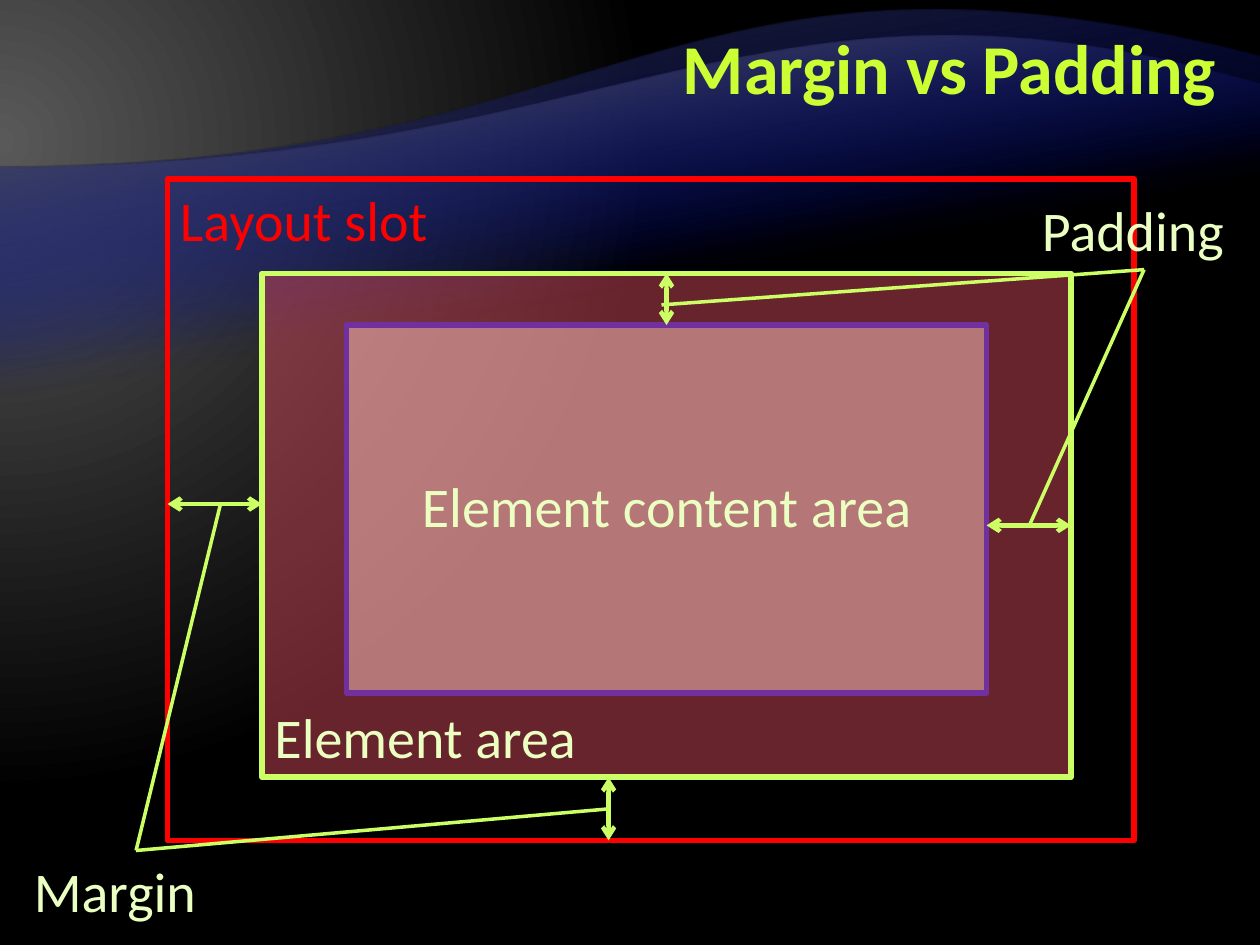
import pptx
import pptx.dml.color
import pptx.enum.shapes
import pptx.enum.text
import pptx.oxml
import pptx.oxml.ns
import pptx.util
import lxml.etree

Inches, Pt = pptx.util.Inches, pptx.util.Pt
qn = pptx.oxml.ns.qn
RGB = pptx.dml.color.RGBColor.from_string

THEME = {
    "font": "Calibri", "title_size": 40, "label_size": 32,
    "title": "CCFF33", "label": "EBFFC2", "slot": "FF0000",
    "accent": "CCFF66", "element": "CC4757", "content": "FFC5C0",
    "content_line": "7030A0", "box_width": 3.25, "arrow_width": 2.5,
    "leader_width": 2,
}

# Gradient stops: position %, colour, opacity %
BACKDROP = [(0, "595959", 100), (83, "000000", 100)]
BACKDROP_FOCUS = '<a:path path="circle"><a:fillToRect l="20000" t="30000" r="135000" b="100000"/></a:path>'
WAVE_DIRECTION = '<a:lin ang="15600000" scaled="0"/>'
# Waves: bottom, curve (start, two controls, end), colour at the crest
WAVES = [
    (6.53, [(0, 1.33), (5, 1.33), (5.34, -0.75), (10, 0.45)], "262626"),
    (5.57, [(0, 1.33), (5, 1.33), (5.98, -0.49), (10, 0.67)], "595959"),
]

# Nested boxes: left, top, width, height, fill, line
SLOT = (1.33, 1.42, 7.67, 5.25)
ELEMENT = (2.08, 2.17, 6.42, 4)
CONTENT = (2.75, 2.58, 5.08, 2.92)
BOXES = [(SLOT, None, "slot"), (ELEMENT, "element", "accent"),
         (CONTENT, "content", "content_line")]

TITLE = ("Margin vs Padding", 2, 0.08, 7.75, 1)
# Labels: text, left, top, width, colour
LABEL_HEIGHT = 0.64
LABELS = [
    ("Layout slot", 1.33, 1.42, 2.58, "slot"),
    ("Element area", 2.08, 5.53, 2.92, "label"),
    ("Margin", 0.17, 6.75, 1.83, "label"),
    ("Padding", 8.17, 1.5, 1.83, "label"),
    ("Element content area", 3.25, 3.69, 4.25, "label"),
]

# Double arrows span the gaps between neighbouring boxes
ARROWS = [
    ((SLOT[0], 4), (ELEMENT[0], 4)),
    ((CONTENT[0] + CONTENT[2], 4.17), (ELEMENT[0] + ELEMENT[2], 4.17)),
    ((4.83, ELEMENT[1] + ELEMENT[3]), (4.83, SLOT[1] + SLOT[3])),
    ((5.29, ELEMENT[1]), (5.29, CONTENT[1])),
]
# Leaders: label end, then the gaps it names
LEADERS = [
    ((1.08, 6.75), [(1.75, 4), (4.83, 6.42)]),
    ((9.08, 2.14), [(5.25, 2.42), (8.17, 4.17)]),
]


def gradient(stops, direction):
    stop_xml = "".join(
        f'<a:gs pos="{place * 1000}"><a:srgbClr val="{color}">'
        f'<a:alpha val="{opacity * 1000}"/></a:srgbClr></a:gs>'
        for place, color, opacity in stops)
    return pptx.oxml.parse_xml(
        f'<a:gradFill {pptx.oxml.ns.nsdecls("a")} rotWithShape="1">'
        f'<a:gsLst>{stop_xml}</a:gsLst>{direction}</a:gradFill>')


def set_gradient(parent, stops, direction):
    solid = parent.find(qn("a:solidFill"))
    parent.replace(solid, gradient(stops, direction))


def add_wave(slide, bottom, curve, color):
    start, *controls, end = curve
    builder = slide.shapes.build_freeform(Inches(end[0]), Inches(bottom), scale=1.0)
    builder.add_line_segments(
        [(Inches(x), Inches(y)) for x, y in [(start[0], bottom), start, end]], close=True)
    wave = builder.convert_to_shape()
    wave.shadow.inherit = False
    wave.fill.solid()
    wave.line.fill.background()
    set_gradient(wave._element.spPr, [(65, "000D9E", 0), (100, color, 100)], WAVE_DIRECTION)
    # Turn the straight top edge into a Bezier curve
    edge = list(wave._element.iter(qn("a:lnTo")))[2]
    edge.tag = qn("a:cubicBezTo")
    for index, (x, y) in enumerate(controls):
        point = lxml.etree.Element(qn("a:pt"))
        point.set("x", str(Inches(x) - wave.left))
        point.set("y", str(Inches(y) - wave.top))
        edge.insert(index, point)


def add_box(slide, place, fill, line):
    box = slide.shapes.add_shape(
        pptx.enum.shapes.MSO_SHAPE.RECTANGLE, *map(Inches, place))
    box.shadow.inherit = False
    box.line.color.rgb = RGB(THEME[line])
    box.line.width = Pt(THEME["box_width"])
    if fill is None:
        box.fill.background()
        return
    box.fill.solid()
    box.fill.fore_color.rgb = RGB(THEME[fill])
    color = box._element.spPr.find(qn("a:solidFill"))[0]
    lxml.etree.SubElement(color, qn("a:alpha")).set("val", "51000")


def add_text(slide, text, place, size, color):
    box = slide.shapes.add_textbox(*map(Inches, place))
    frame = box.text_frame
    frame.word_wrap = True
    frame.text = text
    font = frame.paragraphs[0].runs[0].font
    font.name, font.size = THEME["font"], Pt(THEME[size])
    font.color.rgb = RGB(THEME[color])
    return frame


def add_line(slide, start, end, width, arrows=False):
    line = slide.shapes.add_connector(
        pptx.enum.shapes.MSO_CONNECTOR.STRAIGHT, *map(Inches, start + end))
    line.line.color.rgb = RGB(THEME["accent"])
    line.line.width = Pt(THEME[width])
    properties = line._element.spPr
    lxml.etree.SubElement(properties, qn("a:effectLst"))
    if arrows:
        for tag in ("a:headEnd", "a:tailEnd"):
            lxml.etree.SubElement(properties.find(qn("a:ln")), qn(tag)).set("type", "arrow")


def main():
    deck = pptx.Presentation()
    deck.slide_width, deck.slide_height = Inches(10), Inches(7.5)
    page = deck.slides.add_slide(deck.slide_layouts[6])

    # Backdrop
    page.background.fill.solid()
    set_gradient(next(page.element.iter(qn("p:bgPr"))), BACKDROP, BACKDROP_FOCUS)
    for wave in WAVES:
        add_wave(page, *wave)

    # Title
    text, *place = TITLE
    frame = add_text(page, text, place, "title_size", "title")
    frame.vertical_anchor = pptx.enum.text.MSO_ANCHOR.MIDDLE
    para = frame.paragraphs[0]
    para.alignment = pptx.enum.text.PP_ALIGN.RIGHT
    para.line_spacing = Pt(THEME["title_size"])
    para.runs[0].font.bold = True

    # Nested boxes and labels
    for box in BOXES:
        add_box(page, *box)
    for text, left, top, width, color in LABELS:
        frame = add_text(page, text, (left, top, width, LABEL_HEIGHT), "label_size", color)
        frame.auto_size = pptx.enum.text.MSO_AUTO_SIZE.SHAPE_TO_FIT_TEXT

    # Gap arrows and leaders
    for start, end in ARROWS:
        add_line(page, start, end, "arrow_width", arrows=True)
    for start, ends in LEADERS:
        for end in ends:
            add_line(page, start, end, "leader_width")

    deck.save("out.pptx")


if __name__ == "__main__":
    main()
